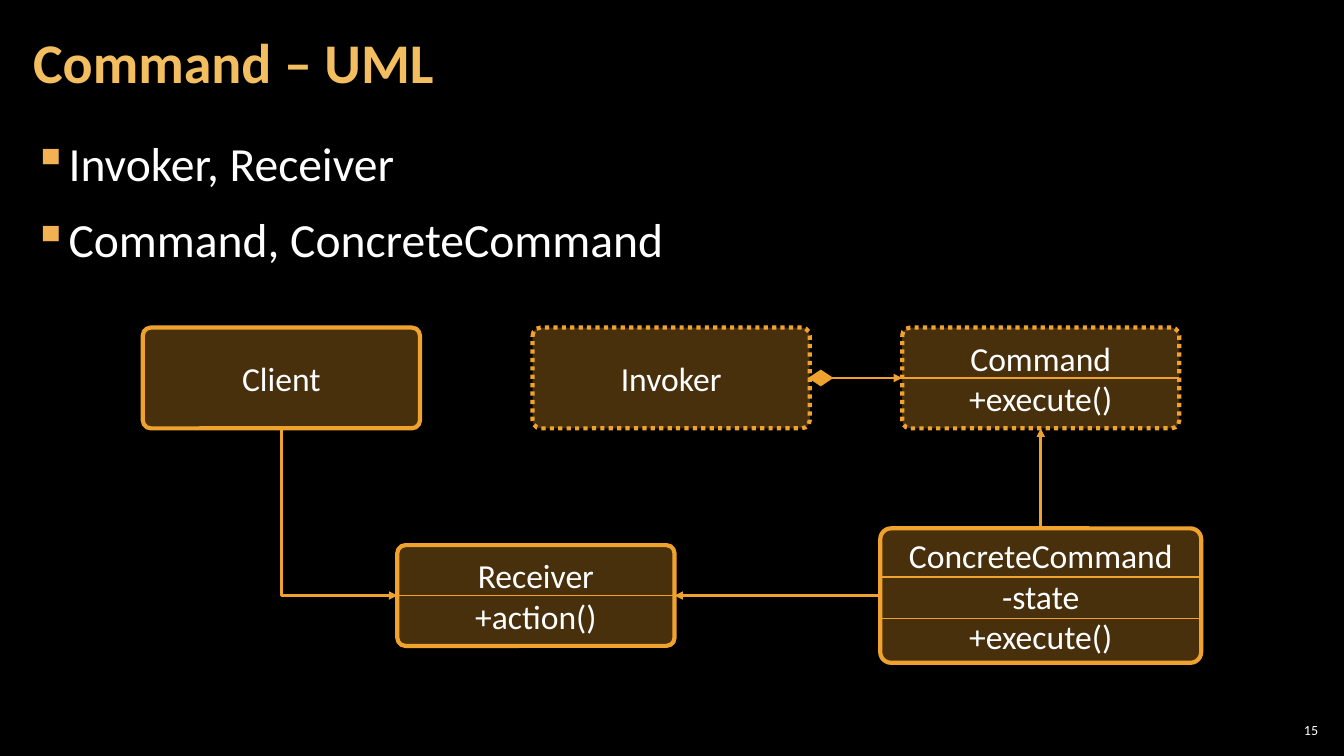
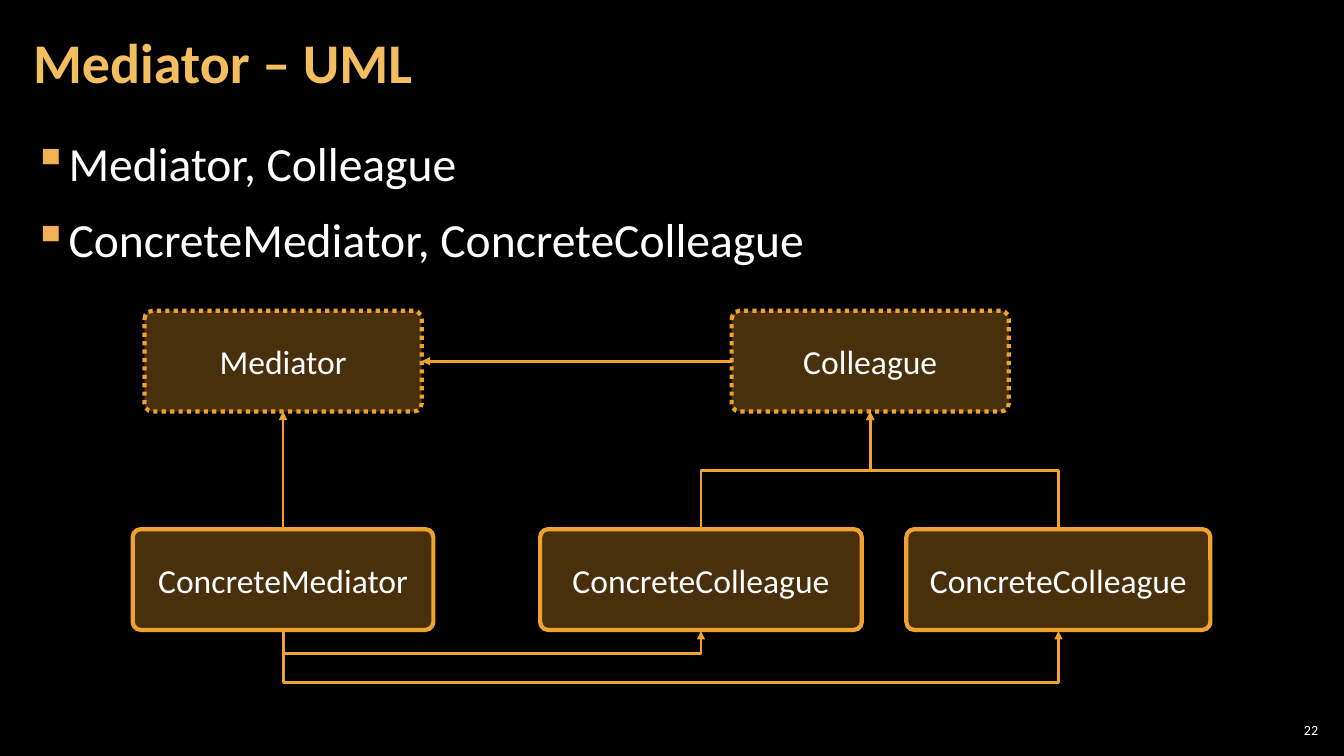
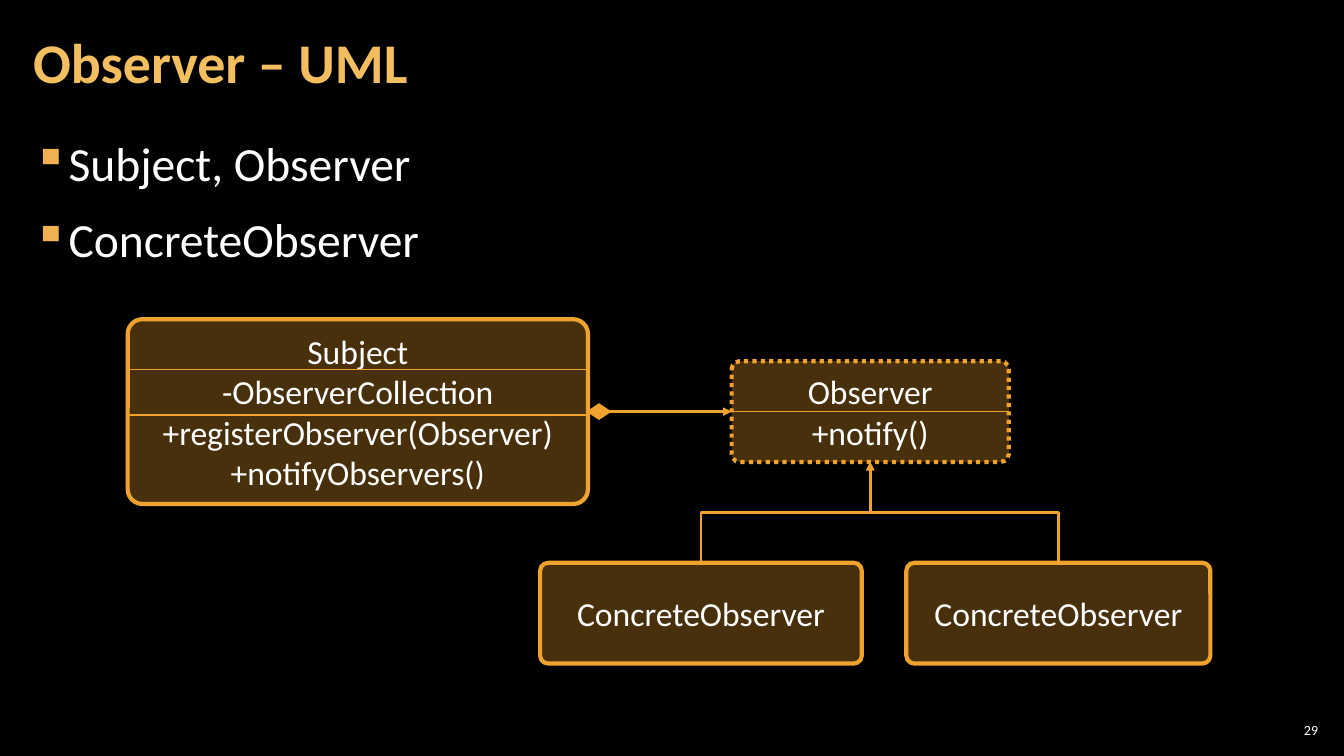
from lxml.etree import SubElement
from pptx import Presentation
from pptx.dml.color import RGBColor
from pptx.enum.dml import MSO_LINE
from pptx.enum.shapes import MSO_CONNECTOR, MSO_SHAPE
from pptx.enum.text import MSO_ANCHOR, PP_ALIGN
from pptx.oxml.ns import qn
from pptx.util import Emu, Inches, Pt

COLORS = {"back": "000000", "text": "FFFFFF", "title": "F3BE60",
          "bullet": "F2B254", "accent": "F0A22E"}
FONT = "Calibri"
COLUMNS, ROWS = 160, 90
UNIT = Inches(1) // 12
TOP, LEFT, BOTTOM, RIGHT = range(4)


def grid(*cells):
    """Turn grid columns and rows into lengths."""
    return [Emu(round(c * UNIT)) for c in cells]


def rgb(name):
    """Look up a palette colour."""
    return RGBColor.from_string(COLORS[name])


def paint(fill, name, alpha=None):
    """Fill with a palette colour, optionally with an opacity in percent."""
    fill.solid()
    fill.fore_color.rgb = rgb(name)
    if alpha is not None:
        clr = fill._xPr.find(qn("a:solidFill"))[0]
        SubElement(clr, qn("a:alpha"), val=str(alpha * 1000))


def add_bullet(p):
    """Give a paragraph a hanging square bullet."""
    pPr = p._p.get_or_add_pPr()
    pPr.set("marL", str(Inches(0.33)))
    pPr.set("indent", str(-Inches(0.33)))
    clr = SubElement(pPr, qn("a:buClr"))
    SubElement(clr, qn("a:srgbClr"), val=COLORS["bullet"])
    SubElement(pPr, qn("a:buChar"), char="▪")


def write(tf, lines, size=24, color="text", bold=False, align=PP_ALIGN.LEFT,
          anchor=MSO_ANCHOR.MIDDLE, spacing=None, gap=None, bullet=False,
          insets=(0.1, 0.05)):
    """Fill a text frame with one formatted paragraph per line."""
    tf.word_wrap = True
    tf.vertical_anchor = anchor
    tf.margin_left = tf.margin_right = Inches(insets[0])
    tf.margin_top = tf.margin_bottom = Inches(insets[1])
    for i, line in enumerate(lines):
        p = tf.add_paragraph() if i else tf.paragraphs[0]
        p.alignment = align
        if spacing:
            p.line_spacing = spacing
        if gap:
            p.space_before = p.space_after = Pt(gap)
        if bullet:
            add_bullet(p)
        r = p.add_run()
        r.text = line
        r.font.name, r.font.size, r.font.bold = FONT, Pt(size), bold
        r.font.color.rgb = rgb(color)


def add_text(s, at, lines, **fmt):
    """Add a text box."""
    write(s.shapes.add_textbox(*grid(*at)).text_frame, lines, **fmt)


def add_line(s, kind, ends, width):
    """Add an accent connector without a shadow."""
    line = s.shapes.add_connector(kind, *ends)
    line.line.color.rgb = rgb("accent")
    line.line.width = Pt(width)
    SubElement(line._element.spPr, qn("a:effectLst"))
    return line


def add_class(s, x, y, w, h, lines, abstract=False, dividers=()):
    """Add a UML class box, dotted if abstract, with dividing lines."""
    sp = s.shapes.add_shape(MSO_SHAPE.ROUNDED_RECTANGLE, *grid(x, y, w, h))
    sp.shadow.inherit = False
    sp.adjustments[0] = 0.08
    paint(sp.fill, "accent", alpha=30)
    sp.line.color.rgb = rgb("accent")
    sp.line.width = Pt(3)
    if abstract:
        sp.line.dash_style = MSO_LINE.ROUND_DOT
    write(sp.text_frame, lines, align=PP_ALIGN.CENTER)
    for d in dividers:
        add_line(s, MSO_CONNECTOR.STRAIGHT, grid(x, y + d, x + w, y + d), 1)
    return sp


def bend(line, preset, adjust):
    """Turn an elbow connector so that it leaves its start vertically."""
    dx, dy = line.end_x - line.begin_x, line.end_y - line.begin_y
    mid_x = (line.begin_x + line.end_x) // 2
    mid_y = (line.begin_y + line.end_y) // 2
    w, h = abs(dy), abs(dx)
    line.left, line.top = mid_x - w // 2, mid_y - h // 2
    line.width, line.height = w, h
    spPr = line._element.spPr
    xfrm = spPr.find(qn("a:xfrm"))
    xfrm.set("rot", str(270 * 60000))
    xfrm.set("flipH", str(int(dy > 0)))
    xfrm.set("flipV", str(int(dx < 0)))
    geom = spPr.find(qn("a:prstGeom"))
    geom.set("prst", preset)
    if adjust is not None:
        SubElement(geom.find(qn("a:avLst")), qn("a:gd"), name="adj1",
                   fmla=f"val {round(adjust * 100000)}")


def link(s, start, start_side, end, end_side, preset=None, drop=None):
    """Join two class boxes by an arrow, straight or bent."""
    kind = MSO_CONNECTOR.ELBOW if preset else MSO_CONNECTOR.STRAIGHT
    line = add_line(s, kind, (0, 0, 0, 0), 2)
    line.begin_connect(start, start_side)
    line.end_connect(end, end_side)
    SubElement(line.line._get_or_add_ln(), qn("a:tailEnd"), type="triangle")
    if drop:
        line.end_y += Inches(0.01)
    if preset:
        bend(line, preset, drop / 0.01 if drop else None)


def aggregate(s, whole, part):
    """Join two boxes by an arrow that starts at a diamond."""
    link(s, whole, RIGHT, part, LEFT)
    w, h = grid(3, 2)
    x, y = whole.left + whole.width, whole.top + whole.height // 2
    sp = s.shapes.add_shape(MSO_SHAPE.FLOWCHART_DECISION, x - w // 16,
                            y - h // 2, w, h)
    sp.shadow.inherit = False
    paint(sp.fill, "accent")
    sp.line.fill.background()


def add_children(s, parent, y, name):
    """Add two concrete classes that inherit from the parent."""
    children = [add_class(s, x, y, w, 12, [name])
                for x, w in ((64.3, 38.3), (107.9, 36.2))]
    for child in children:
        link(s, child, TOP, parent, BOTTOM, "bentConnector3")
    return children


def add_slide(prs, title, bullets, number):
    """Add a slide with title, bullets and slide number."""
    s = prs.slides.add_slide(prs.slide_layouts[6])
    add_text(s, (2.5, 15.1, 155, 73), bullets, size=34, bullet=True,
             anchor=MSO_ANCHOR.TOP, spacing=1.05, gap=6, insets=(0.12, 0.04))
    add_text(s, (151.8, 85.7, 5.6, 2.5), [number], size=10,
             align=PP_ALIGN.RIGHT, insets=(0.04, 0.04))
    add_text(s, (2.5, 0.5, 125.6, 14.5), [title], size=40, color="title",
             bold=True, spacing=0.9, insets=(0.12, 0.04))
    return s


def command_slide(prs):
    """Draw the Command pattern."""
    s = add_slide(prs, "Command – UML",
                  ["Invoker, Receiver", "Command, ConcreteCommand"], "15")
    client = add_class(s, 17, 39, 33, 12, ["Client"])
    invoker = add_class(s, 63.4, 39, 33, 12, ["Invoker"], abstract=True)
    command = add_class(s, 107.4, 39, 33, 12, ["Command", "+execute()"],
                        abstract=True, dividers=[6])
    receiver = add_class(s, 47.3, 64.9, 33, 12, ["Receiver", "+action()"],
                         dividers=[6])
    concrete = add_class(s, 104.8, 62.9, 38.2, 16,
                         ["ConcreteCommand", "-state", "+execute()"],
                         dividers=[5.8, 10.7])
    aggregate(s, invoker, command)
    link(s, concrete, TOP, command, BOTTOM)
    link(s, concrete, LEFT, receiver, RIGHT)
    link(s, client, BOTTOM, receiver, LEFT, "bentConnector2")


def mediator_slide(prs):
    """Draw the Mediator pattern."""
    s = add_slide(prs, "Mediator – UML",
                  ["Mediator, Colleague",
                   "ConcreteMediator, ConcreteColleague"], "22")
    mediator = add_class(s, 17.2, 37, 33, 12, ["Mediator"], abstract=True)
    colleague = add_class(s, 87.1, 37, 33, 12, ["Colleague"], abstract=True)
    concrete = add_class(s, 15.8, 63, 35.8, 12, ["ConcreteMediator"])
    link(s, colleague, LEFT, mediator, RIGHT)
    link(s, concrete, TOP, mediator, BOTTOM)
    children = add_children(s, colleague, 63, "ConcreteColleague")
    for child, drop in zip(children, (0.24, 0.53)):
        link(s, concrete, BOTTOM, child, BOTTOM, "bentConnector3", drop)


def observer_slide(prs):
    """Draw the Observer pattern."""
    s = add_slide(prs, "Observer – UML",
                  ["Subject, Observer", "ConcreteObserver"], "29")
    subject = add_class(s, 15.2, 38, 54.8, 22,
                        ["Subject", "-ObserverCollection",
                         "+registerObserver(Observer)", "+notifyObservers()"],
                        dividers=[6, 11.4])
    observer = add_class(s, 87.1, 43, 33, 12, ["Observer", "+notify()"],
                         abstract=True, dividers=[6])
    aggregate(s, subject, observer)
    add_children(s, observer, 67, "ConcreteObserver")


def main():
    """Build the deck."""
    prs = Presentation()
    prs.slide_width, prs.slide_height = grid(COLUMNS, ROWS)
    paint(prs.slide_master.background.fill, "back")
    command_slide(prs)
    mediator_slide(prs)
    observer_slide(prs)
    prs.save("out.pptx")


if __name__ == "__main__":
    main()
